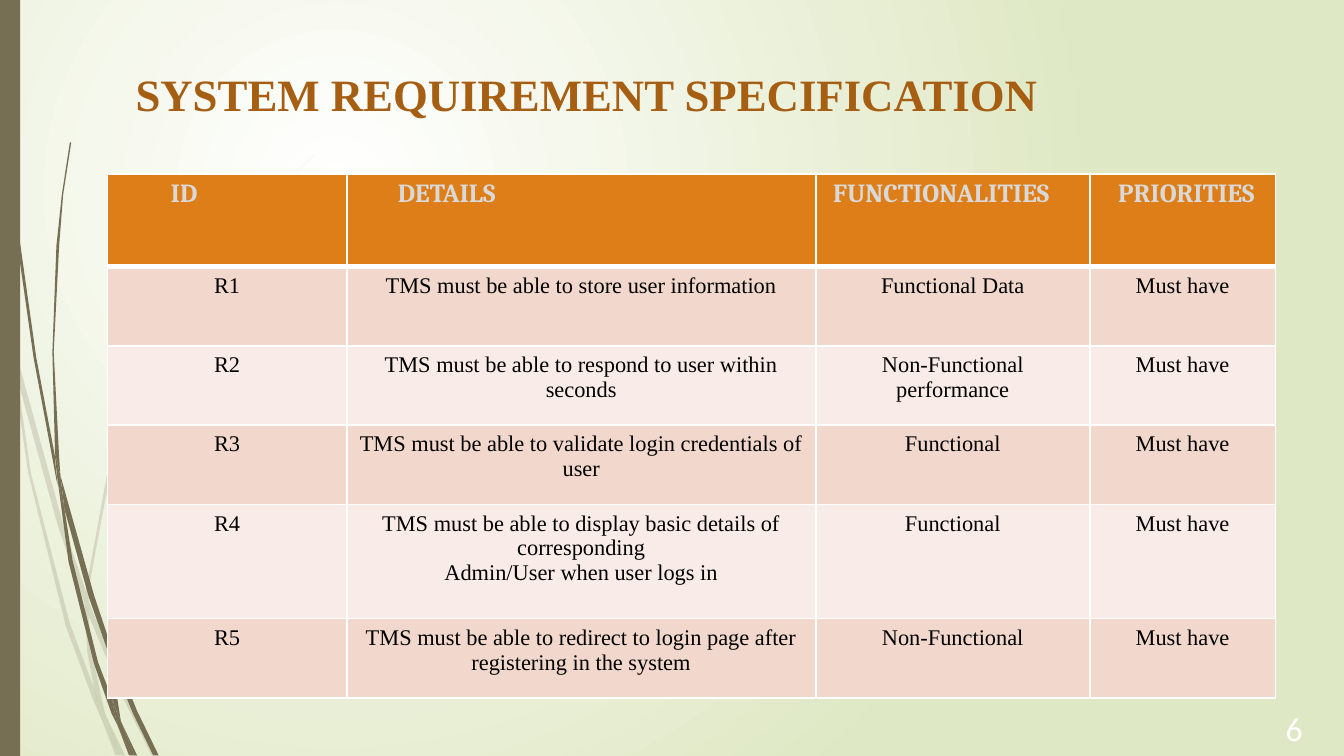
from lxml.etree import SubElement
from pptx import Presentation
from pptx.dml.color import RGBColor
from pptx.enum.shapes import MSO_SHAPE
from pptx.enum.text import MSO_ANCHOR, PP_ALIGN
from pptx.oxml.ns import qn
from pptx.util import Inches, Pt

COLORS = {
    "white": "FFFFFF", "meadow": "DFE8C4", "grass": "766F54", "title": "A65E12",
    "header": "DE7E18", "header_text": "D9D9D9", "text": "000000",
    "odd": "F2D8CC", "even": "F9ECE8",
}


def rgb(name):
    return RGBColor.from_string(COLORS[name])


def write(paragraph, text, color, **formats):
    run = paragraph.add_run()
    run.text = text
    run.font.color.rgb = rgb(color)
    for name, value in formats.items():
        setattr(run.font, name, value)


presentation = Presentation()
presentation.slide_width, presentation.slide_height = Inches(10), Inches(10 * 9 / 16)
W, H = presentation.slide_width, presentation.slide_height
slide = presentation.slides.add_slide(presentation.slide_layouts[6])

# Background: white glow in the upper left, fading to green
background = slide.background.fill
background.gradient()
for stop, position, color in zip(background.gradient_stops, (0, 1), ("white", "meadow")):
    stop.position = position
    stop.color.rgb = rgb(color)
gradient = slide.element.find(".//" + qn("a:gradFill"))
gradient.remove(gradient.find(qn("a:lin")))
circle = SubElement(gradient, qn("a:path"), path="circle")
SubElement(circle, qn("a:fillToRect"), l="50000", t="50000", r="100000", b="100000")

# Grass blades: outlines in thousandths of the slide's width
PALE_BLADES = [
    [(8, 263), (6, 241), (0, 211), (0, 224), (8, 258)],
    [(43, 391), (63, 449), (64, 440), (47, 390), (11, 259), (13, 282)],
    [(69, 455), (66, 447), (66, 458), (92, 520), (113, 562), (116, 562), (95, 519)],
    [(89, 562), (93, 562), (79, 533)],
    [(70, 512), (52, 464), (23, 352), (13, 282), (8, 263), (21, 352), (49, 466),
     (69, 520), (76, 536), (74, 530)],
    [(63, 449), (65, 485), (70, 512), (72, 519), (79, 533), (78, 530), (68, 484),
     (66, 458), (66, 456)],
    [(66, 438), (83, 347), (120, 261), (171, 184), (201, 148), (217, 131), (234, 115),
     (217, 131), (201, 148), (171, 183), (118, 261), (81, 346), (64, 438), (64, 440),
     (66, 447)],
    [(76, 536), (86, 562), (89, 562)],
    [(66, 456), (66, 458), (66, 447), (64, 440), (63, 449)],
    [(72, 519), (70, 512), (74, 530), (76, 536), (89, 562), (79, 533)],
]
DARK_BLADES = [
    [(5, 82), (12, 175), (25, 266), (42, 357), (43, 361), (41, 343), (41, 340),
     (27, 266), (14, 174), (6, 82), (3, 36), (3, 0), (2, 0), (3, 36)],
    [(66, 444), (80, 484), (80, 475), (80, 473), (70, 443), (45, 354), (48, 379)],
    [(85, 487), (83, 481), (83, 492), (99, 531), (114, 562), (118, 562), (102, 529)],
    [(83, 519), (73, 493), (54, 417), (48, 379), (43, 358), (51, 418), (70, 494),
     (83, 531), (88, 541), (87, 538)],
    [(45, 354), (44, 340), (40, 262), (44, 183), (47, 145), (53, 106), (52, 106),
     (46, 145), (42, 183), (39, 262), (41, 337)],
    [(100, 562), (102, 562), (91, 539)],
    [(43, 358), (48, 379), (45, 354), (41, 337), (41, 340)],
    [(83, 475), (94, 414), (119, 357), (153, 305), (173, 281), (184, 269), (196, 258),
     (195, 258), (184, 269), (173, 280), (153, 304), (117, 356), (92, 413), (80, 473),
     (83, 481)],
    [(88, 541), (96, 562), (98, 562)],
    [(80, 484), (83, 519), (87, 530), (91, 539), (90, 537), (83, 492), (81, 488)],
    [(80, 484), (81, 488), (83, 492), (83, 481), (80, 473), (80, 475)],
    [(87, 530), (83, 519), (87, 538), (88, 541), (98, 562), (100, 562), (91, 539)],
]
for blades, opacity in ((PALE_BLADES, 20), (DARK_BLADES, 100)):
    for start, *others in blades:
        builder = slide.shapes.build_freeform(*start, scale=W / 1000)
        builder.add_line_segments(others, close=True)
        blade = builder.convert_to_shape()
        blade.shadow.inherit = False
        blade.line.fill.background()
        blade.fill.solid()
        blade.fill.fore_color.rgb = rgb("grass")
        if opacity < 100:
            fill_color = blade.element.spPr.find(".//" + qn("a:srgbClr"))
            SubElement(fill_color, qn("a:alpha"), val=str(opacity * 1000))

bar = slide.shapes.add_shape(MSO_SHAPE.RECTANGLE, 0, 0, int(0.015 * W), H)
bar.shadow.inherit = False
bar.fill.solid()
bar.fill.fore_color.rgb = rgb("grass")
bar.line.fill.background()

# Title and slide number: percent of the slide, then text and formats
LABELS = [
    ((9.1, 4.1, 82.8, 13.65), "SYSTEM REQUIREMENT SPECIFICATION", "title",
     MSO_ANCHOR.BOTTOM, PP_ALIGN.LEFT,
     {"size": Pt(24), "name": "Times New Roman", "bold": True}),
    ((93.8, 92.8, 5, 7), "6", "white",
     MSO_ANCHOR.MIDDLE, PP_ALIGN.CENTER, {"size": Pt(18)}),
]
for (left, top, width, height), text, color, anchor, alignment, formats in LABELS:
    box = slide.shapes.add_textbox(
        int(left * W / 100), int(top * H / 100), int(width * W / 100), int(height * H / 100))
    frame = box.text_frame
    frame.word_wrap = True
    frame.vertical_anchor = anchor
    margin = Inches(0.1) if alignment == PP_ALIGN.LEFT else 0
    for side in ("left", "top", "right", "bottom"):
        setattr(frame, f"margin_{side}", margin)
    frame.paragraphs[0].alignment = alignment
    write(frame.paragraphs[0], text, color, **formats)

# Requirements table
ROWS = [
    ["ID", "DETAILS", "FUNCTIONALITIES", "PRIORITIES"],
    ["R1", "TMS must be able to store user information", "Functional Data"],
    ["R2", "TMS must be able to respond to user within seconds", "Non-Functional performance"],
    ["R3", "TMS must be able to validate login credentials of user", "Functional"],
    ["R4", "TMS must be able to display basic details of corresponding\n"
           "Admin/User when user logs in", "Functional"],
    ["R5", "TMS must be able to redirect to login page after registering in the system",
     "Non-Functional"],
]
COLUMN_WIDTHS = [1.78, 3.49, 2.04, 1.38]
ROW_HEIGHTS = [0.69, 0.59, 0.59, 0.59, 0.85, 0.59]
HEADER_INDENTS = [0.47, 0.38, 0.13, 0.21]
table = slide.shapes.add_table(
    len(ROWS), len(COLUMN_WIDTHS), int(0.08 * W), int(0.23 * H),
    Inches(sum(COLUMN_WIDTHS)), Inches(sum(ROW_HEIGHTS))).table
table.horz_banding = False
for column, width in zip(table.columns, COLUMN_WIDTHS):
    column.width = Inches(width)

for row_index, (row, height) in enumerate(zip(ROWS, ROW_HEIGHTS)):
    table.rows[row_index].height = Inches(height)
    is_header = row_index == 0
    texts = row if is_header else row + ["Must have"]
    for column_index, text in enumerate(texts):
        cell = table.cell(row_index, column_index)
        if is_header:
            fill, color, alignment = "header", "header_text", PP_ALIGN.LEFT
            formats = {"size": Pt(14), "name": "Cambria", "bold": True}
            margins = {"left": HEADER_INDENTS[column_index], "right": 0.08,
                       "top": 0.04, "bottom": 0.04}
        else:
            fill, color, alignment = "odd" if row_index % 2 else "even", "text", PP_ALIGN.CENTER
            formats = {"size": Pt(12), "name": "Times New Roman", "bold": False}
            margins = {"left": 0.07, "right": 0.07, "top": 0.05, "bottom": 0.05}
        for side, margin in margins.items():
            setattr(cell, f"margin_{side}", Inches(margin))

        properties = cell._tc.get_or_add_tcPr()
        for edge in "LRTB":
            is_thick = (row_index, edge) in ((0, "B"), (1, "T"))
            border = SubElement(properties, qn(f"a:ln{edge}"), w=str(Pt(3 if is_thick else 1)))
            SubElement(SubElement(border, qn("a:solidFill")), qn("a:srgbClr"), val=COLORS["white"])
        cell.fill.solid()
        cell.fill.fore_color.rgb = rgb(fill)

        for line_index, line in enumerate(text.split("\n")):
            frame = cell.text_frame
            paragraph = frame.add_paragraph() if line_index else frame.paragraphs[0]
            paragraph.alignment = alignment
            write(paragraph, line, color, **formats)

presentation.save("out.pptx")
